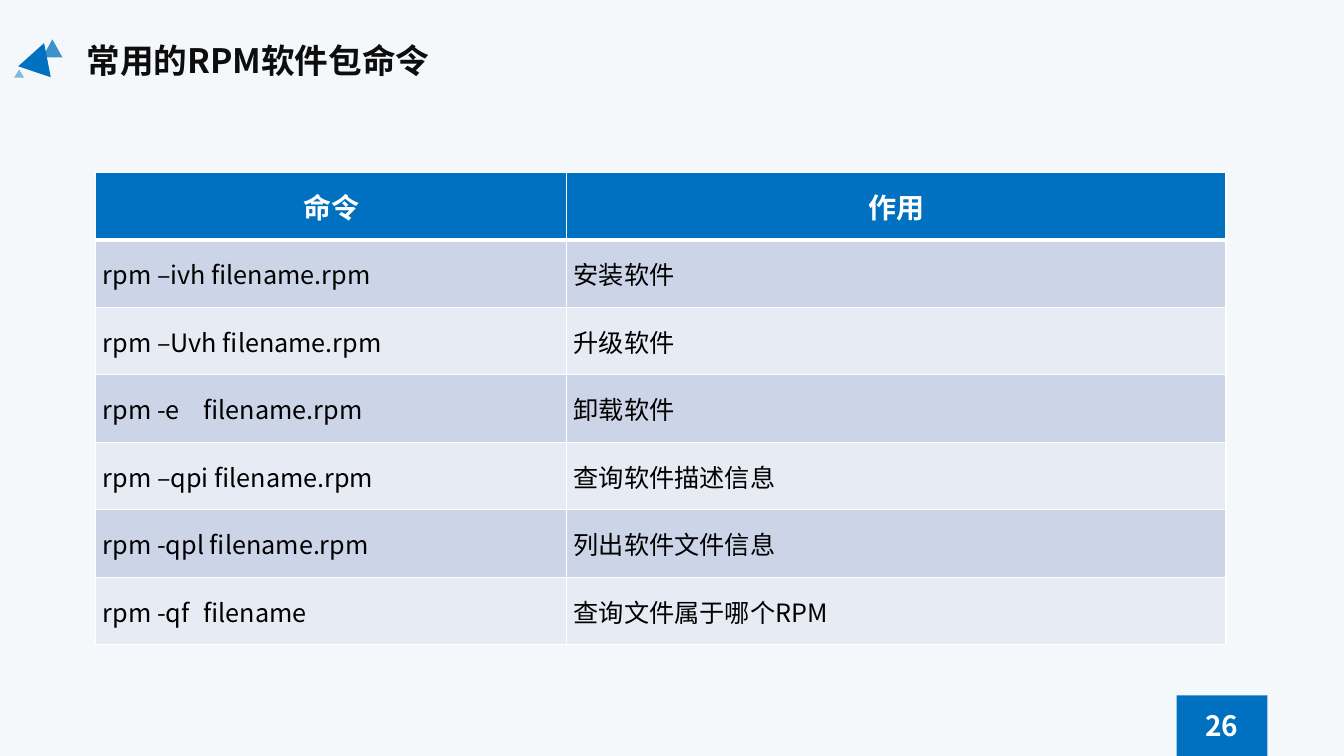
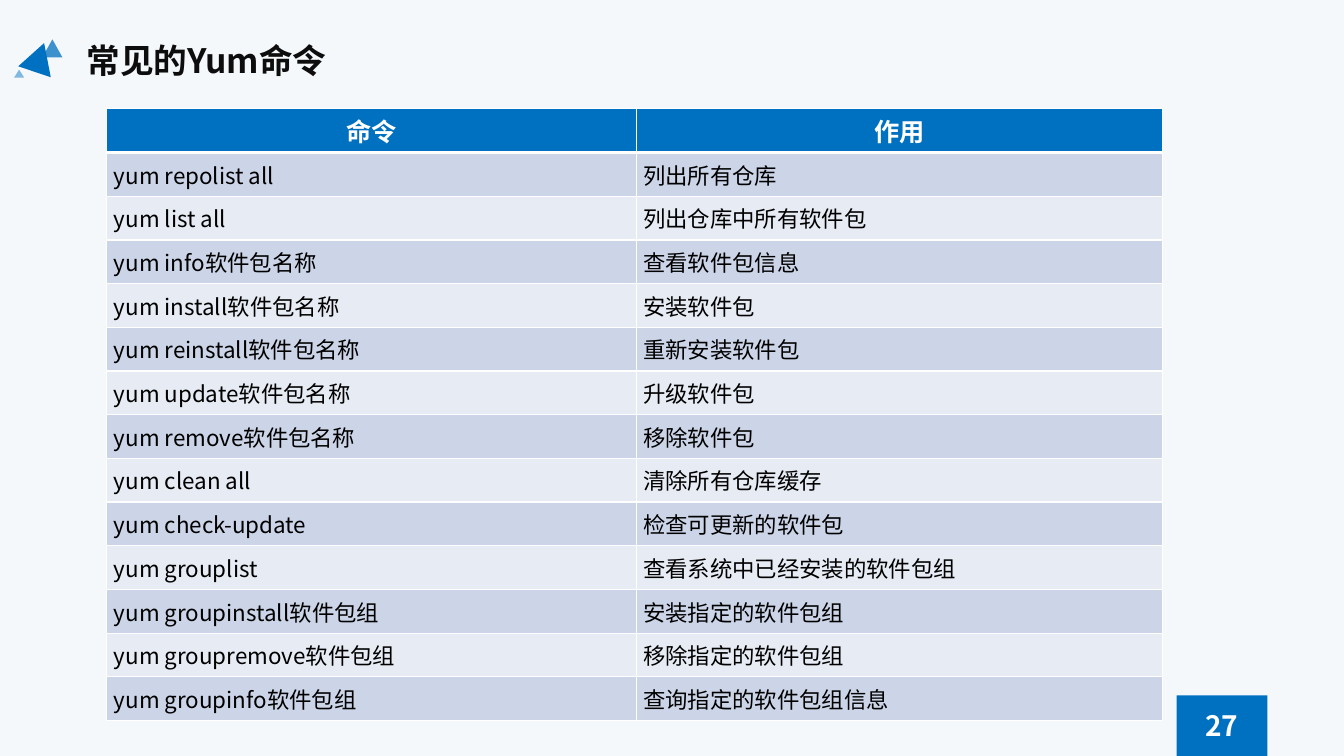
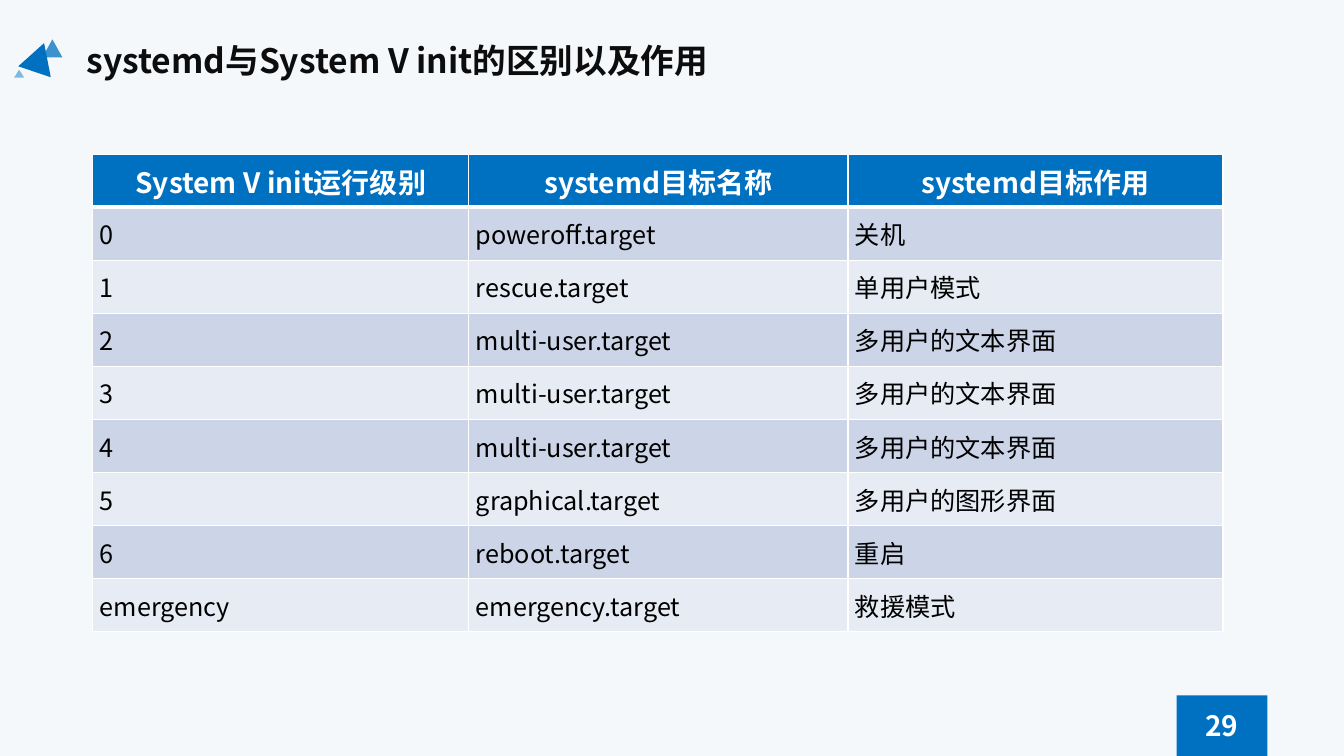
from lxml import etree
from pptx import Presentation
from pptx.dml.color import RGBColor
from pptx.enum import shapes, text
from pptx.oxml import ns
from pptx.util import Inches, Pt

FONT = "Noto Sans CJK SC"
BLUE, WHITE, BACK = "0070C0", "FFFFFF", "F5F8FB"
BANDS = ["CCD5E8", "E7EBF4"]
SHAPE = shapes.MSO_SHAPE
ALIGN = text.PP_ALIGN

# Left, top, width, height, rotation and opacity of the title mark
TRIANGLES = [
    (0.42, 0.39, 0.2, 0.18, 0, 75),
    (0.22, 0.42, 0.34, 0.3, 18.5, 100),
    (0.14, 0.69, 0.1, 0.08, 0, 47),
]

SLIDES = [
    dict(title="常用的RPM软件包命令", title_width=4.72, page="26",
         at=(0.95, 1.71), cols=[4.67, 6.54], row_height=0.67, sizes=(20, 18),
         rows=[
             ("命令", "作用"),
             ("rpm –ivh filename.rpm", "安装软件"),
             ("rpm –Uvh filename.rpm", "升级软件"),
             ("rpm -e\tfilename.rpm", "卸载软件"),
             ("rpm –qpi filename.rpm", "查询软件描述信息"),
             ("rpm -qpl filename.rpm", "列出软件文件信息"),
             ("rpm -qf\tfilename", "查询文件属于哪个RPM"),
         ]),
    dict(title="常见的Yum命令", title_width=4.72, page="27",
         at=(1.06, 1.08), cols=[5.25, 5.22], row_height=6.07 / 14, sizes=(18, 16),
         rows=[
             ("命令", "作用"),
             ("yum repolist all", "列出所有仓库"),
             ("yum list all", "列出仓库中所有软件包"),
             ("yum info软件包名称", "查看软件包信息"),
             ("yum install软件包名称", "安装软件包"),
             ("yum reinstall软件包名称", "重新安装软件包"),
             ("yum update软件包名称", "升级软件包"),
             ("yum remove软件包名称", "移除软件包"),
             ("yum clean all", "清除所有仓库缓存"),
             ("yum check-update", "检查可更新的软件包"),
             ("yum grouplist", "查看系统中已经安装的软件包组"),
             ("yum groupinstall软件包组", "安装指定的软件包组"),
             ("yum groupremove软件包组", "移除指定的软件包组"),
             ("yum groupinfo软件包组", "查询指定的软件包组信息"),
         ]),
    dict(title="systemd与System V init的区别以及作用", title_width=6.62, page="29",
         at=(0.92, 1.53), cols=[3.73, 3.76, 3.72], row_height=4.74 / 9, sizes=(20, 18),
         rows=[
             ("System V init运行级别", "systemd目标名称", "systemd目标作用"),
             ("0", "poweroff.target", "关机"),
             ("1", "rescue.target", "单用户模式"),
             ("2", "multi-user.target", "多用户的文本界面"),
             ("3", "multi-user.target", "多用户的文本界面"),
             ("4", "multi-user.target", "多用户的文本界面"),
             ("5", "graphical.target", "多用户的图形界面"),
             ("6", "reboot.target", "重启"),
             ("emergency", "emergency.target", "救援模式"),
         ]),
]


def paint(fill, color):
    fill.solid()
    fill.fore_color.rgb = RGBColor.from_string(color)


def write(tf, words, size, color, bold, align):
    p = tf.paragraphs[0]
    p.alignment = align
    if "\t" in words:
        tabs = etree.SubElement(p._p.get_or_add_pPr(), ns.qn("a:tabLst"))
        etree.SubElement(tabs, ns.qn("a:tab"), pos=str(Inches(1)), algn="l")
    r = p.add_run()
    r.text = words
    r.font.size, r.font.bold, r.font.name = Pt(size), bold, FONT
    r.font.color.rgb = RGBColor.from_string(color)
    etree.SubElement(r._r.rPr, ns.qn("a:ea"), typeface=FONT)


prs = Presentation()
prs.slide_width, prs.slide_height = Inches(13.33), Inches(7.5)

for data in SLIDES:
    s = prs.slides.add_slide(prs.slide_layouts[6])
    paint(s.background.fill, BACK)

    # Title
    sp = s.shapes.add_textbox(Inches(0.76), Inches(0.35), Inches(data["title_width"]), Inches(0.5))
    sp.text_frame.word_wrap = True
    write(sp.text_frame, data["title"], 24, "0D0D0D", True, ALIGN.LEFT)

    # Title mark
    for left, top, width, height, turn, opacity in TRIANGLES:
        sp = s.shapes.add_shape(SHAPE.ISOSCELES_TRIANGLE, Inches(left), Inches(top),
                                Inches(width), Inches(height))
        sp.shadow.inherit = False
        sp.rotation = turn
        sp.line.fill.background()
        paint(sp.fill, BLUE)
        if opacity < 100:
            color = sp._element.spPr.find(".//" + ns.qn("a:srgbClr"))
            etree.SubElement(color, ns.qn("a:alpha"), val=str(opacity * 1000))

    # Page number
    sp = s.shapes.add_shape(SHAPE.RECTANGLE, Inches(11.67), Inches(6.9), Inches(0.9), Inches(0.6))
    sp.shadow.inherit = False
    sp.line.fill.background()
    paint(sp.fill, BLUE)
    sp.text_frame.vertical_anchor = text.MSO_ANCHOR.MIDDLE
    write(sp.text_frame, data["page"], 20, WHITE, True, ALIGN.CENTER)

    # Command table
    rows, cols = data["rows"], data["cols"]
    left, top = data["at"]
    table = s.shapes.add_table(len(rows), len(cols), Inches(left), Inches(top), Inches(sum(cols)),
                               Inches(data["row_height"] * len(rows))).table
    table.horz_banding = False
    for column, width in zip(table.columns, cols):
        column.width = Inches(width)
    for i, row in enumerate(rows):
        table.rows[i].height = Inches(data["row_height"])
        head = i == 0
        for j, words in enumerate(row):
            cell = table.cell(i, j)
            cell.margin_left = cell.margin_right = Inches(0.07)
            cell.margin_top = cell.margin_bottom = 0
            cell.vertical_anchor = text.MSO_ANCHOR.MIDDLE
            if head:
                write(cell.text_frame, words, data["sizes"][0], WHITE, True, ALIGN.CENTER)
            else:
                write(cell.text_frame, words, data["sizes"][1], "000000", False, ALIGN.JUSTIFY)

            # White borders, thick below the header
            tcPr = cell._tc.get_or_add_tcPr()
            for side in ("L", "R", "T", "B"):
                thick = (i, side) in ((0, "B"), (1, "T"))
                ln = etree.SubElement(tcPr, ns.qn("a:ln" + side), w=str(Pt(3 if thick else 1)))
                solid = etree.SubElement(ln, ns.qn("a:solidFill"))
                etree.SubElement(solid, ns.qn("a:srgbClr"), val=WHITE)
            paint(cell.fill, BLUE if head else BANDS[(i - 1) % 2])

prs.save("out.pptx")
